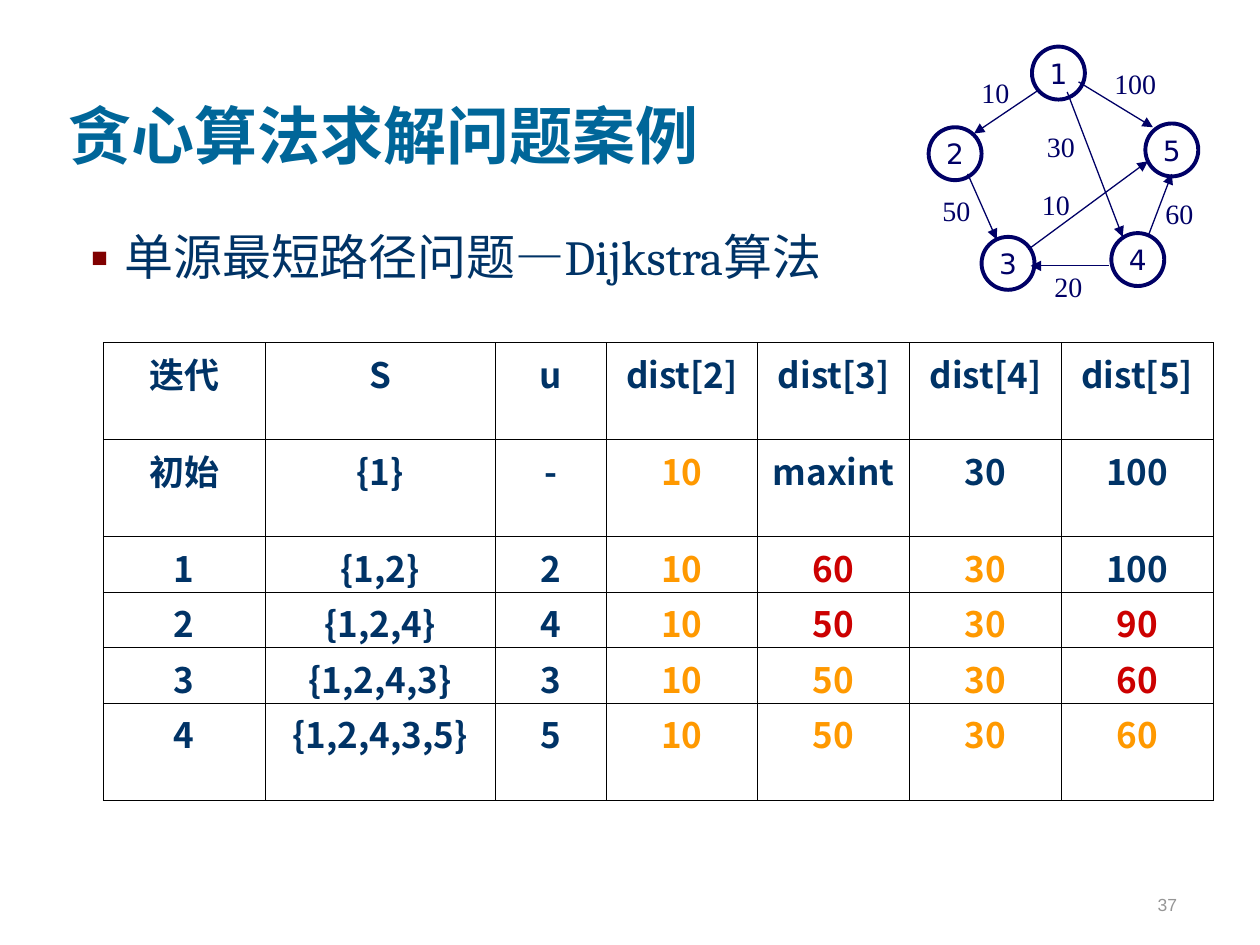
from lxml.etree import SubElement
from pptx import Presentation
from pptx.dml.color import RGBColor
from pptx.enum.shapes import MSO_CONNECTOR, MSO_SHAPE
from pptx.enum.text import MSO_ANCHOR, PP_ALIGN
from pptx.oxml import parse_xml
from pptx.oxml.ns import nsdecls, qn
from pptx.util import Inches, Pt

INK = {"title": "006699", "text": "003366", "bullet": "800000", "graph": "000066",
       "page": "969696", "done": "FF9900", "new": "CC0000", "grid": "000000"}
SANS = "Noto Sans CJK SC"

deck = Presentation()
deck.slide_width, deck.slide_height = Inches(10), Inches(7.5)
UNIT = deck.slide_width // 100  # the slide is 100 columns by 75 rows


def grid(*cells):
    """Turn grid columns and rows into lengths."""
    return [round(c * UNIT) for c in cells]


def write(frame, text, face, size, ink, align=PP_ALIGN.CENTER, bold=False):
    frame.text = text
    para = frame.paragraphs[0]
    para.alignment = align
    run = para.runs[0]
    run.font.name, run.font.size, run.font.bold = face, Pt(size), bold
    run.font.color.rgb = RGBColor.from_string(INK[ink])
    SubElement(run.font._element, qn("a:ea")).set("typeface", SANS)
    return para


slide = deck.slides.add_slide(deck.slide_layouts[5])

# Title, topic and page number
title = slide.shapes.title
title.left, title.top, title.width, title.height = grid(4.4, 1.7, 85, 12.5)
title.text_frame.vertical_anchor = MSO_ANCHOR.BOTTOM
write(title.text_frame, "贪心算法求解问题案例", "Times New Roman", 36, "title",
      PP_ALIGN.LEFT, True)

topic = slide.shapes.add_textbox(*grid(5, 17.5, 89.4, 48.8)).text_frame
topic.word_wrap = True
para = write(topic, "单源最短路径问题—Dijkstra算法", "Cambria", 28, "text", PP_ALIGN.LEFT)
props = para._p.get_or_add_pPr()
hang = grid(3.8)[0]
props.set("marL", str(hang))
props.set("indent", str(-hang))
color = SubElement(props, qn("a:buClr"))
SubElement(color, qn("a:srgbClr")).set("val", INK["bullet"])
SubElement(props, qn("a:buFont")).set("typeface", SANS)
SubElement(props, qn("a:buChar")).set("char", "▪")

page = slide.shapes.add_textbox(*grid(73.6, 68.1, 20.8, 5)).text_frame
page.word_wrap = True
page.vertical_anchor = MSO_ANCHOR.BOTTOM
write(page, "37", "Arial", 10, "page", PP_ALIGN.RIGHT)

# Weighted graph
graph = slide.shapes.add_group_shape().shapes
nodes = [(81.9, 3.7), (73.7, 10.1), (77.9, 18.8), (88.2, 18.5), (90.9, 9.8)]
for name, (x, y) in enumerate(nodes, 1):
    node = graph.add_shape(MSO_SHAPE.OVAL, *grid(x, y, 4.2, 4.2))
    node.shadow.inherit = False
    node.fill.background()
    node.line.color.rgb = RGBColor.from_string(INK["graph"])
    node.line.width = Pt(2.25)
    frame = node.text_frame
    frame.word_wrap = False
    frame.margin_left = frame.margin_right = frame.margin_top = frame.margin_bottom = 0
    frame.vertical_anchor = MSO_ANCHOR.MIDDLE
    write(frame, str(name), "DejaVu Sans", 16, "graph")

# Each edge: start, end, weight, corner of its label
edges = [
    ((82.5, 7.1), (77.3, 10.6), "10", (77.5, 6)),
    ((76.8, 13.8), (79.1, 19), "50", (74.4, 15.4)),
    ((88, 21.1), (81.8, 21.1), "20", (83.3, 21.4)),
    ((91.1, 18.8), (93, 13.8), "60", (92.1, 15.6)),
    ((85.6, 6.5), (91.5, 10.1), "100", (88.2, 5.3)),
    ((81.6, 19.8), (91.1, 12.8), "10", (82.3, 14.9)),
    ((84.7, 7.3), (89.1, 18.8), "30", (82.7, 10.3)),
]
for start, end, weight, spot in edges:
    edge = graph.add_connector(MSO_CONNECTOR.STRAIGHT, *grid(*start, *end))
    edge.line.color.rgb = RGBColor.from_string(INK["graph"])
    edge.line.width = Pt(0.75)
    SubElement(edge.line._get_or_add_ln(), qn("a:tailEnd")).set("type", "triangle")
    SubElement(edge._element.spPr, qn("a:effectLst"))
    wide = 3.8 if len(weight) > 2 else 3
    label = graph.add_textbox(*grid(*spot, wide, 2.7)).text_frame
    label.word_wrap = True
    label.margin_left = label.margin_right = label.margin_top = label.margin_bottom = 0
    write(label, weight, "Times New Roman", 16, "graph")

# Iteration table
rows = [
    ["迭代", "S", "u", "dist[2]", "dist[3]", "dist[4]", "dist[5]"],
    ["初始", "{1}", "-", "10", "maxint", "30", "100"],
    ["1", "{1,2}", "2", "10", "60", "30", "100"],
    ["2", "{1,2,4}", "4", "10", "50", "30", "90"],
    ["3", "{1,2,4,3}", "3", "10", "50", "30", "60"],
    ["4", "{1,2,4,3,5}", "5", "10", "50", "30", "60"],
]
wides = [12.85, 18.25, 8.8] + [12.05] * 4
highs = [7.7, 7.7, 4.4, 4.4, 4.4, 7.7]
table = slide.shapes.add_table(len(rows), len(wides),
                               *grid(8.2, 27.2, sum(wides), sum(highs))).table
table.first_row = table.horz_banding = False
for column, wide in zip(table.columns, grid(*wides)):
    column.width = wide
for row, high in zip(table.rows, grid(*highs)):
    row.height = high

for r, row in enumerate(rows):
    picked = [line[2] for line in rows[2:r + 2]]  # vertices taken up to the next step
    for c, text in enumerate(row):
        ink = "text"
        if r and c > 2:
            if r > 1 and text != rows[r - 1][c]:
                ink = "new"
            elif str(c - 1) in picked:
                ink = "done"
        cell = table.cell(r, c)
        cell.margin_top, cell.margin_bottom = grid(0.4, 0)
        write(cell.text_frame, text, SANS, 20, ink, bold=True)
        for side in ("lnL", "lnR", "lnT", "lnB"):
            cell._tc.get_or_add_tcPr().append(parse_xml(
                f'<a:{side} {nsdecls("a")} w="{Pt(0.45)}"><a:solidFill>'
                f'<a:srgbClr val="{INK["grid"]}"/></a:solidFill></a:{side}>'))
        cell.fill.background()

deck.save("out.pptx")
